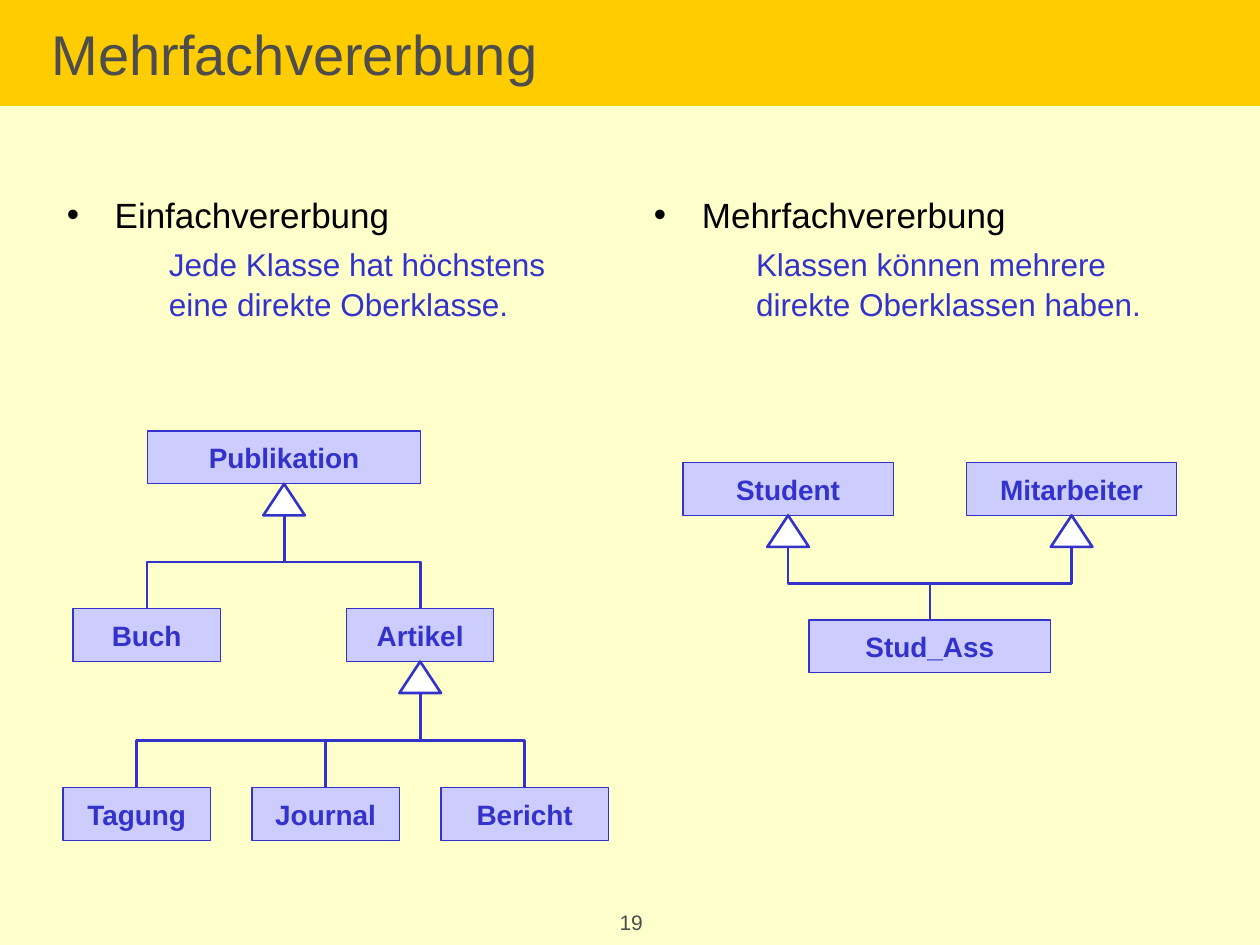
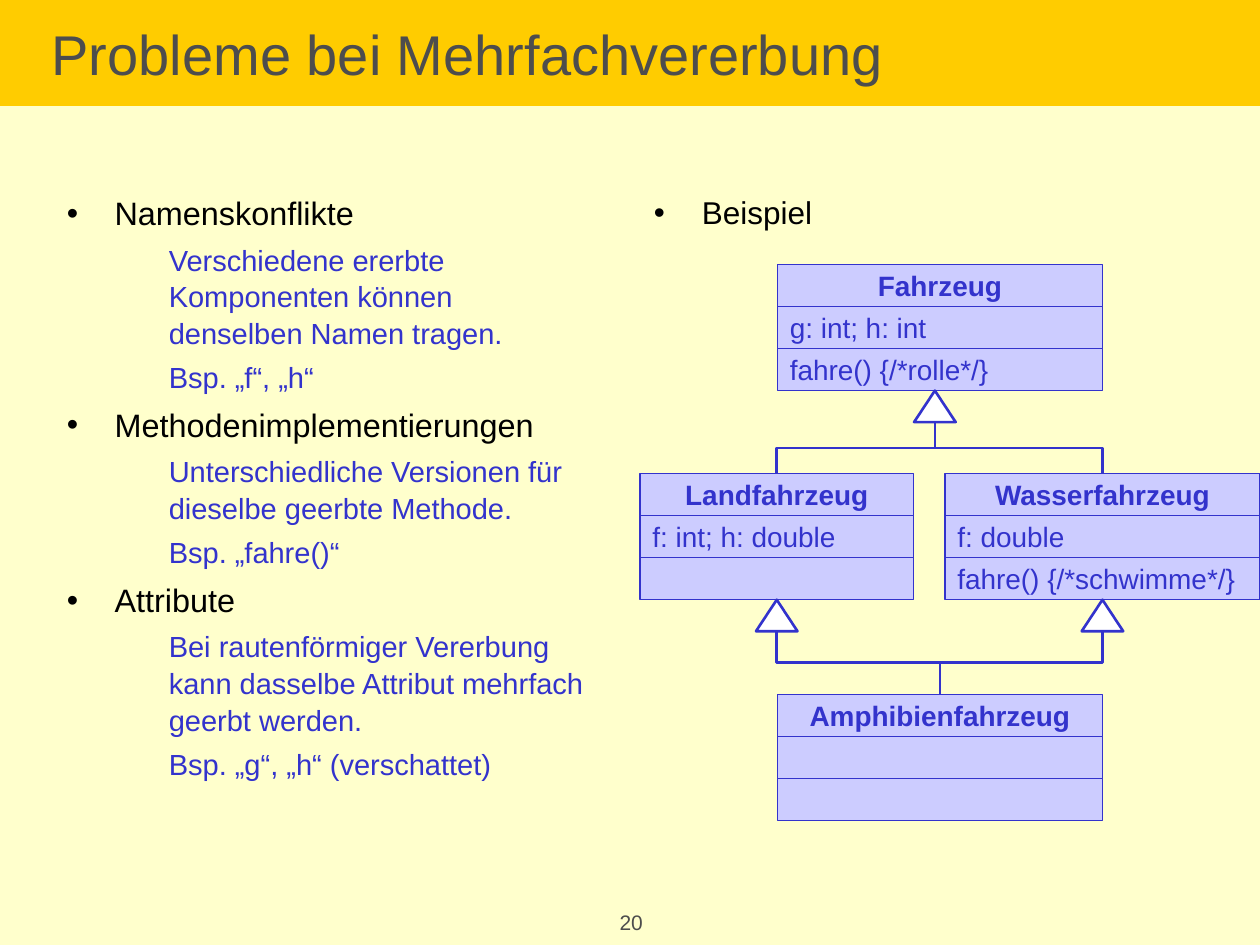
from lxml.etree import SubElement
from pptx import Presentation
from pptx.dml.color import RGBColor
from pptx.enum.shapes import MSO_CONNECTOR, MSO_SHAPE
from pptx.enum.text import MSO_ANCHOR, MSO_AUTO_SIZE, PP_ALIGN
from pptx.oxml.ns import qn
from pptx.util import Inches, Pt

# Shared look
CREAM = RGBColor(0xFF, 0xFF, 0xCC)
GOLD = RGBColor(0xFF, 0xCC, 0x00)
GREY = RGBColor(0x4D, 0x4D, 0x4D)
BLACK = RGBColor(0, 0, 0)
WHITE = RGBColor(0xFF, 0xFF, 0xFF)
BLUE = RGBColor(0x33, 0x33, 0xCC)
LILAC = RGBColor(0xCC, 0xCC, 0xFF)

TITLE_FONT = {"name": "Arial", "size": Pt(32), "color": GREY}
NUMBER_FONT = {"name": "Arial", "size": Pt(12), "color": GREY}
CLASS_FONT = {"name": "Arial", "size": Pt(16), "color": BLUE, "bold": True}
MEMBER_FONT = {**CLASS_FONT, "bold": False}

TWO_CONTENT = 3
LEFT_COLUMN, RIGHT_COLUMN = 0.43, 5.09
NAME_HEIGHT, ROW_HEIGHT = 0.42, 1 / 3
ARROW_WIDTH, ARROW_HEIGHT = 0.33, 0.25


def set_values(target, values):
    for name, value in values.items():
        if name == "color":
            target.color.rgb = value
        else:
            setattr(target, name, value)


def place(shape, left, top, width, height):
    values = {"left": left, "top": top, "width": width, "height": height}
    set_values(shape, {name: Inches(value) for name, value in values.items()})


def add_filled_shape(slide, kind, box, fill, line_width):
    shape = slide.shapes.add_shape(kind, *map(Inches, box))
    shape.shadow.inherit = False
    shape.fill.solid()
    shape.fill.fore_color.rgb = fill
    set_values(shape.line, {"color": BLUE, "width": Pt(line_width)})
    return shape


# Title band, page number and bullet lists
def add_slide(presentation, title_text, number):
    slide = presentation.slides.add_slide(presentation.slide_layouts[TWO_CONTENT])
    title = slide.shapes.title
    place(title, 0, 0, 10, 0.84)
    title.fill.solid()
    title.fill.fore_color.rgb = GOLD
    title.text = title_text
    set_values(title.text_frame, {
        "margin_left": Inches(0.41), "vertical_anchor": MSO_ANCHOR.MIDDLE,
        "auto_size": MSO_AUTO_SIZE.NONE})
    paragraph = title.text_frame.paragraphs[0]
    paragraph.alignment = PP_ALIGN.LEFT
    set_values(paragraph.font, TITLE_FONT)

    number_box = slide.shapes.add_textbox(*map(Inches, (4.39, 7.17, 1.24, 0.33)))
    number_box.text_frame.word_wrap = True
    paragraph = number_box.text_frame.paragraphs[0]
    paragraph.text = str(number)
    paragraph.alignment = PP_ALIGN.CENTER
    set_values(paragraph.font, NUMBER_FONT)
    return slide


def format_list_item(paragraph, level, size):
    is_heading = level == 0
    paragraph.level = level
    set_values(paragraph, {"space_before": Pt(5 if is_heading else 4.5),
                           "line_spacing": 1.05})
    set_values(paragraph.font, {"name": "Arial", "size": Pt(size),
                                "color": BLACK if is_heading else BLUE})
    properties = paragraph._p.get_or_add_pPr()
    properties.set("marL", str(Inches(0.38 if is_heading else 0.81)))
    properties.set("indent", str(Inches(-0.38 if is_heading else 0)))
    if is_heading:
        SubElement(properties, qn("a:buChar")).set("char", "•")
    else:
        SubElement(properties, qn("a:buNone"))


def fill_list(slide, index, left, items, sizes, width=4.49):
    """Items are (level, text); sizes hold one font size per level."""
    body = slide.placeholders[index]
    place(body, left, 1.47, width, 4.83)
    frame = body.text_frame
    frame.auto_size = MSO_AUTO_SIZE.NONE
    frame.text = "\n".join(text for _, text in items)
    for paragraph, (level, _) in zip(frame.paragraphs, items):
        format_list_item(paragraph, level, sizes[level])


# Class diagrams
def add_row(slide, text, box, font, alignment):
    row = add_filled_shape(slide, MSO_SHAPE.RECTANGLE, box, LILAC, 0.75)
    if text:
        set_values(row.text_frame, {"word_wrap": False,
                                    "vertical_anchor": MSO_ANCHOR.MIDDLE})
        paragraph = row.text_frame.paragraphs[0]
        paragraph.text = text
        paragraph.alignment = alignment
        set_values(paragraph.font, font)


def add_class(slide, name, left, top, width, members=()):
    """Draws a class and returns its (centre, top, bottom)."""
    height = ROW_HEIGHT if members else NAME_HEIGHT
    add_row(slide, name, (left, top, width, height), CLASS_FONT, PP_ALIGN.CENTER)
    for index, member in enumerate(members, 1):
        box = (left, top + index * height, width, height)
        add_row(slide, member, box, MEMBER_FONT, PP_ALIGN.LEFT)
    return left + width / 2, top, top + height * (1 + len(members))


def add_upward_elbow(slide, start_x, start_y, end_x, end_y):
    """An elbow that leaves vertically: a horizontal one given a quarter turn."""
    side = 1 if start_x < end_x else -1
    middle_x, middle_y = (start_x + end_x) / 2, (start_y + end_y) / 2
    half_rise, half_run = side * (start_y - end_y) / 2, abs(end_x - start_x) / 2
    ends = (middle_x + half_rise, middle_y + half_run,
            middle_x - half_rise, middle_y - half_run)
    connector = slide.shapes.add_connector(MSO_CONNECTOR.ELBOW, *map(Inches, ends))
    set_values(connector.line, {"color": BLUE, "width": Pt(1.5)})
    properties = connector._element.spPr
    properties.find(qn("a:xfrm")).set("rot", str(side * 90 % 360 * 60000))
    SubElement(properties, qn("a:effectLst"))


def add_inheritance(slide, parent, children, arrow_x=None):
    centre, _, bottom = parent
    arrow_x = arrow_x or centre
    for child_x, child_top, _ in children:
        add_upward_elbow(slide, child_x, child_top, arrow_x, bottom + ARROW_HEIGHT)
    box = (arrow_x - ARROW_WIDTH / 2, bottom, ARROW_WIDTH, ARROW_HEIGHT)
    add_filled_shape(slide, MSO_SHAPE.ISOSCELES_TRIANGLE, box, WHITE, 1.5)


# Slides
def build_inheritance_kinds(presentation):
    slide = add_slide(presentation, "Mehrfachvererbung", 19)
    fill_list(slide, 1, LEFT_COLUMN, [
        (0, "Einfachvererbung"),
        (1, "Jede Klasse hat höchstens eine direkte Oberklasse.")], (20, 18))
    fill_list(slide, 2, RIGHT_COLUMN, [
        (0, "Mehrfachvererbung"),
        (1, "Klassen können mehrere direkte Oberklassen haben.")], (20, 18))

    publication = add_class(slide, "Publikation", 1.17, 3.42, 2.17)
    book = add_class(slide, "Buch", 0.58, 4.83, 1.17)
    article = add_class(slide, "Artikel", 2.75, 4.83, 1.17)
    article_kinds = [add_class(slide, name, left, 6.25, width) for name, left, width in (
        ("Tagung", 0.5, 1.17), ("Journal", 2, 1.17), ("Bericht", 3.5, 1.33))]
    add_inheritance(slide, publication, [book, article])
    add_inheritance(slide, article, article_kinds)

    assistant = add_class(slide, "Stud_Ass", 6.42, 4.92, 1.92)
    for name, left in (("Student", 5.42), ("Mitarbeiter", 7.67)):
        add_inheritance(slide, add_class(slide, name, left, 3.67, 1.67), [assistant])


def build_problems(presentation):
    slide = add_slide(presentation, "Probleme bei Mehrfachvererbung", 20)
    fill_list(slide, 1, LEFT_COLUMN, [
        (0, "Namenskonflikte"),
        (1, "Verschiedene ererbte Komponenten können denselben Namen tragen."),
        (1, "Bsp. „f“, „h“"),
        (0, "Methodenimplementierungen"),
        (1, "Unterschiedliche Versionen für dieselbe geerbte Methode."),
        (1, "Bsp. „fahre()“"),
        (0, "Attribute"),
        (1, "Bei rautenförmiger Vererbung kann dasselbe Attribut mehrfach geerbt werden."),
        (1, "Bsp. „g“, „h“ (verschattet)")], (18.5, 16.6), width=4.37)
    fill_list(slide, 2, RIGHT_COLUMN, [(0, "Beispiel")], (18,))

    vehicle = add_class(slide, "Fahrzeug", 6.17, 2.1, 2.58,
                        ("g: int; h: int", "fahre() {/*rolle*/}"))
    land = add_class(slide, "Landfahrzeug", 5.08, 3.76, 2.17,
                     ("f: int; h: double", ""))
    water = add_class(slide, "Wasserfahrzeug", 7.5, 3.76, 2.5,
                      ("f: double", "fahre() {/*schwimme*/}"))
    amphibian = add_class(slide, "Amphibienfahrzeug", 6.17, 5.51, 2.58, ("", ""))
    add_inheritance(slide, vehicle, [land, water], arrow_x=7.42)
    for parent in (land, water):
        add_inheritance(slide, parent, [amphibian])


def main():
    presentation = Presentation()
    presentation.slide_width, presentation.slide_height = Inches(10), Inches(7.5)
    background = presentation.slide_master.background.fill
    background.solid()
    background.fore_color.rgb = CREAM
    build_inheritance_kinds(presentation)
    build_problems(presentation)
    presentation.save("out.pptx")


if __name__ == "__main__":
    main()
